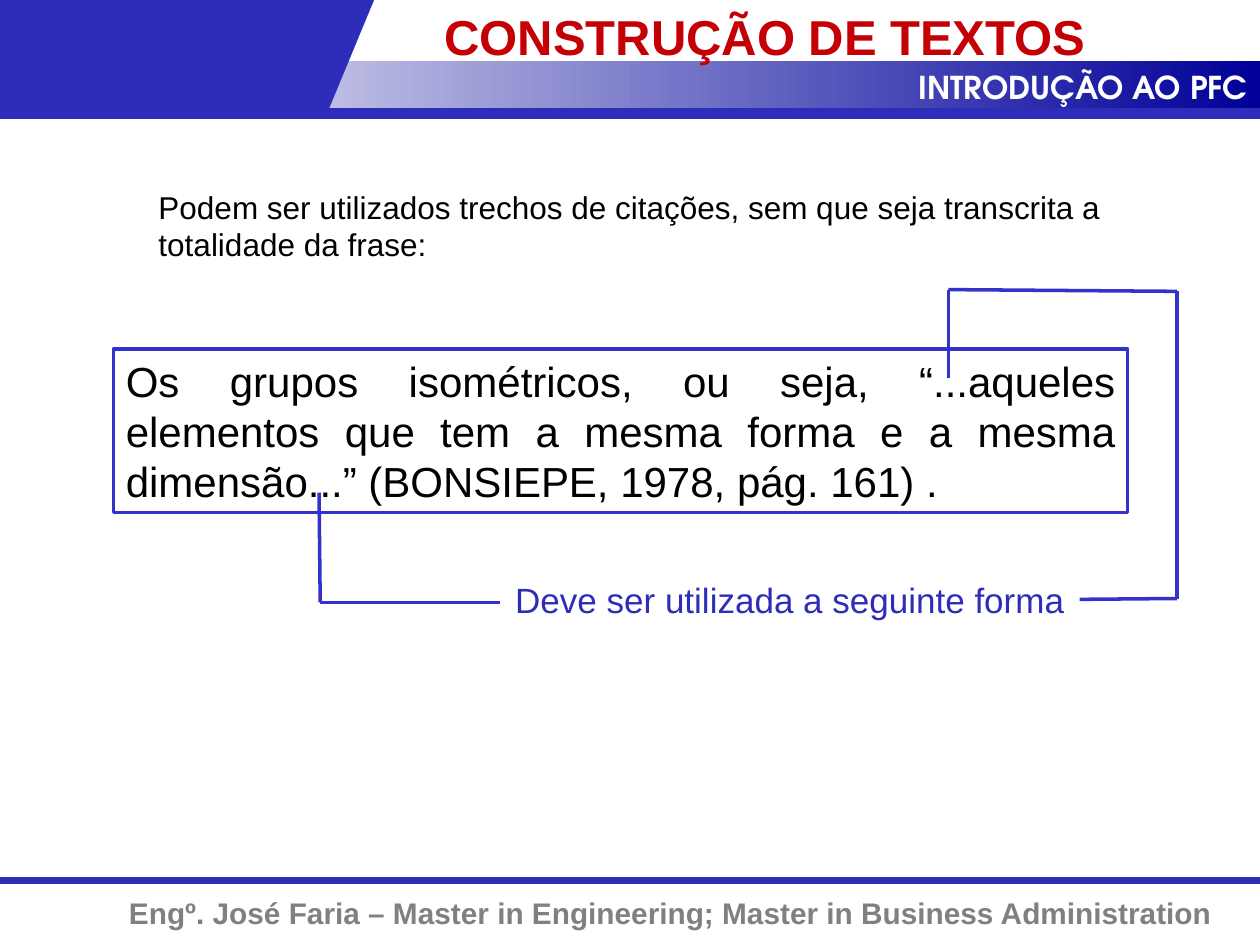
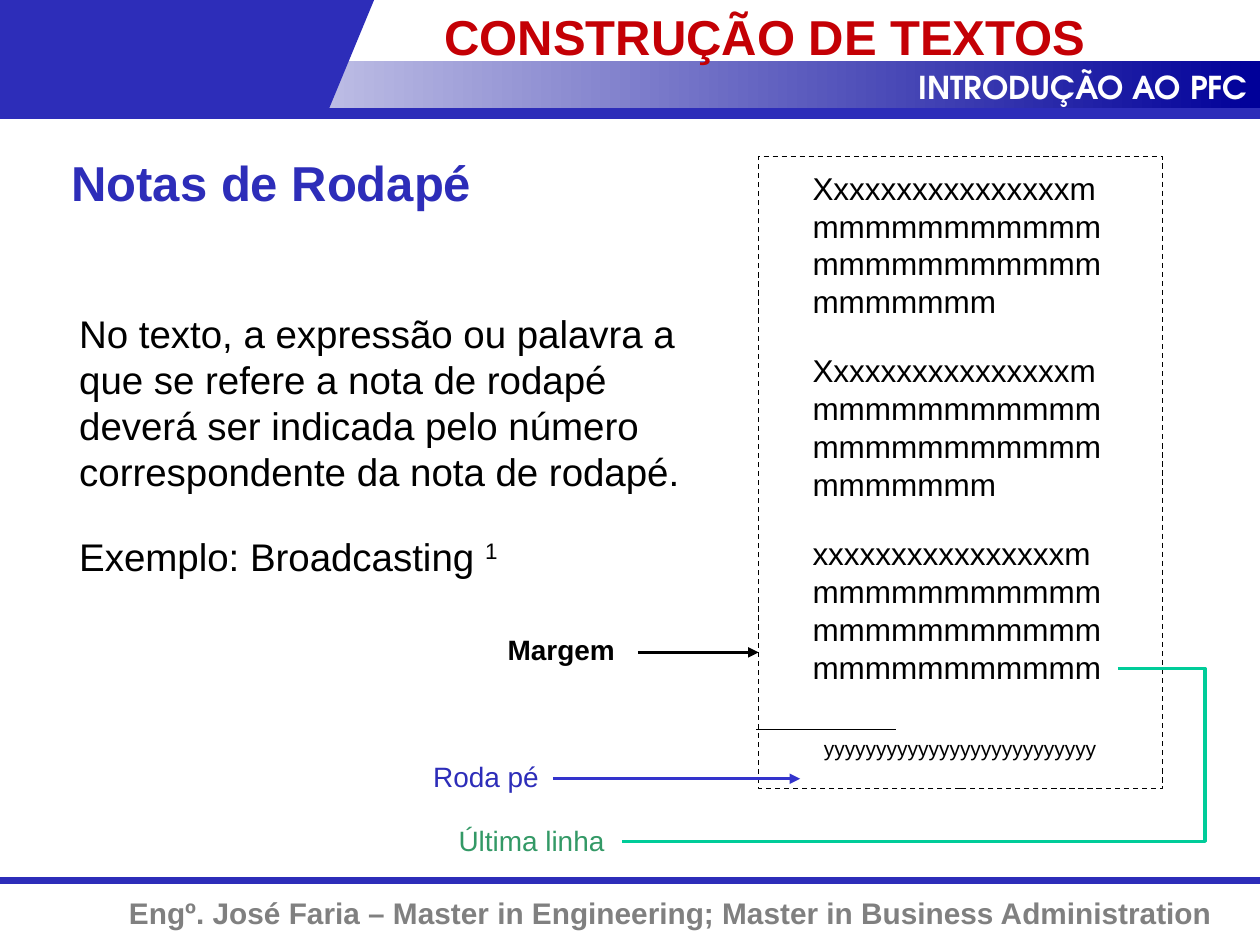
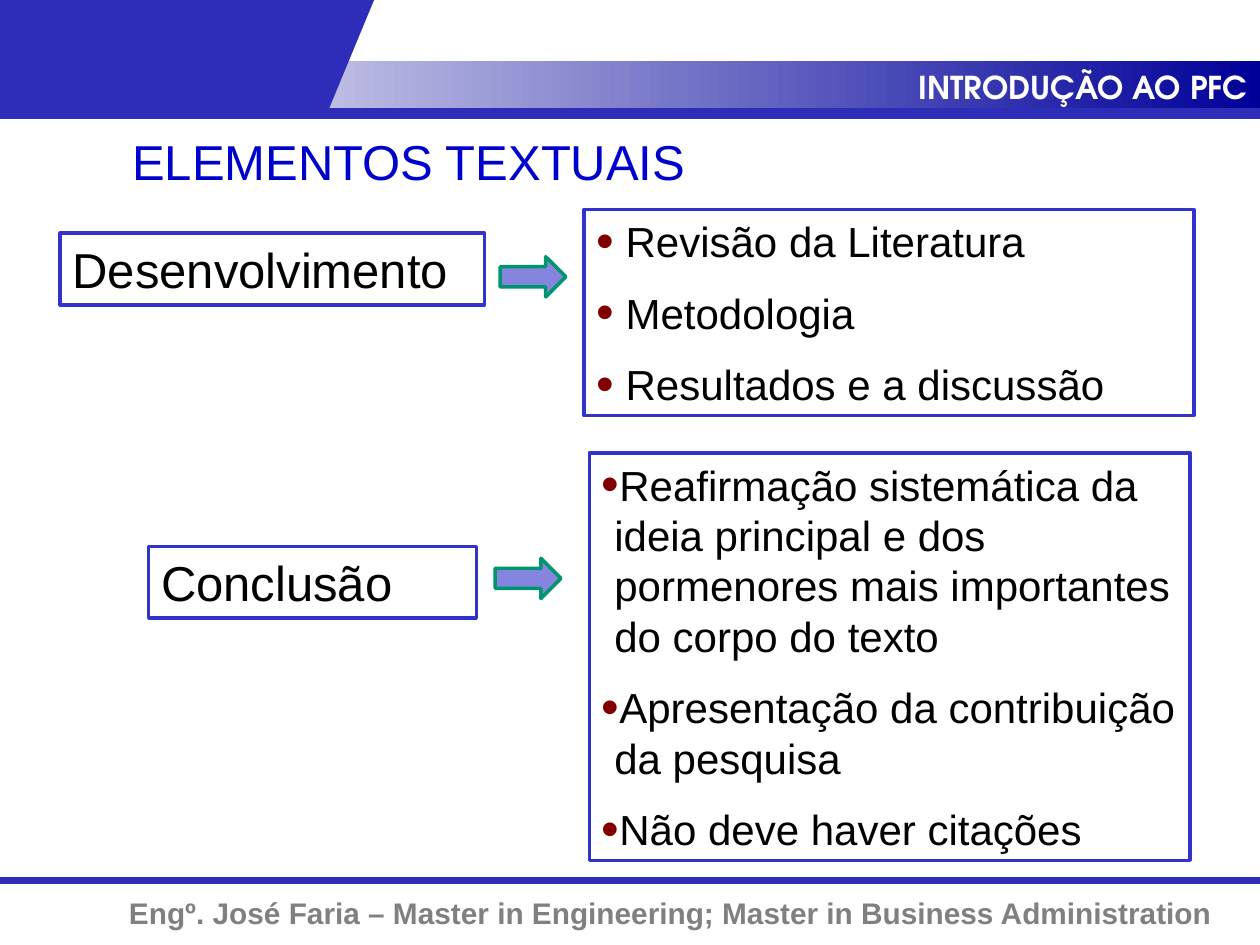
from dataclasses import dataclass
from itertools import pairwise

from lxml.etree import SubElement
from pptx import Presentation
from pptx.dml.color import RGBColor
from pptx.enum.dml import MSO_LINE
from pptx.enum.shapes import MSO_CONNECTOR, MSO_SHAPE
from pptx.enum.text import MSO_ANCHOR, MSO_AUTO_SIZE, PP_ALIGN
from pptx.oxml.ns import qn
from pptx.util import Pt


@dataclass(frozen=True)
class Theme:
    blue: str = "2D2DB9"
    outline: str = "3333CC"
    navy: str = "000099"
    title_blue: str = "0000CC"
    red: str = "C40005"
    maroon: str = "800000"
    green: str = "339966"
    teal: str = "00CC99"
    arrow_fill: str = "8585E0"
    arrow_line: str = "00956F"
    gray: str = "808080"
    black: str = "000000"
    white: str = "FFFFFF"
    font: str = "Arial"
    band_font: str = "TeX Gyre Adventor"
    title_size: int = 28
    quote_size: int = 24
    body_size: int = 22
    note_size: int = 20
    small_size: int = 18
    footer_size: int = 17
    label_size: int = 16
    tiny_size: int = 12
    line_width: float = 2


THEME = Theme()

# Content: boxes are (left, top, width, height) in points
COURSE = "INTRODUÇÃO AO PFC"
AUTHOR = "Engº. José Faria – Master in Engineering; Master in Business Administration"
WRITING_TITLE = "CONSTRUÇÃO DE TEXTOS"
ELEMENTS_TITLE = "ELEMENTOS TEXTUAIS"

INTRODUCTION = ("Podem ser utilizados trechos de citações, sem que seja transcrita a "
                "totalidade da frase:")
QUOTE = ("Os grupos isométricos, ou seja, “...aqueles elementos que tem a mesma forma "
         "e a mesma dimensão...” (BONSIEPE, 1978, pág. 161) .")
QUOTE_HINT = "Deve ser utilizada a seguinte forma"
HINT_PATHS = [
    [(542, 216), (542, 165.5), (672.5, 166.5), (672.5, 342), (617, 342.5)],
    [(182.3, 281.5), (183, 344.2), (286, 344.2)],
]

FOOTNOTE_HEADING = "Notas de Rodapé"
FOOTNOTE_TEXT = [
    "No texto, a expressão ou palavra a que se refere a nota de rodapé deverá ser "
    "indicada pelo número correspondente da nota de rodapé.",
    ("Exemplo: Broadcasting ", "1"),
]
PAGE_TEXT = [first + "x" * 15 + "m" * count
             for first, count in [("X", 30), ("X", 30), ("x", 34)]]
PAGE_NOTE = "y" * 26
PAGE_LABELS = [
    ("Roda pé", (240.5, 430.5, 91, 26.5), THEME.blue, False),
    ("Margem", (283, 358, 91, 26.5), THEME.black, True),
    ("Última linha", (255, 467.3, 116, 26.5), THEME.green, False),
]
PAGE_ARROWS = [
    ((316, 445), (457.2, 445), THEME.outline),
    ((364.5, 372.8), (433.5, 372.8), THEME.black),
]

# Each section: name, its box, arrow position, list box, list indent, items
SECTIONS = [
    ("Desenvolvimento", (34.4, 133.3, 242.6, 41), (285.8, 146.7),
     (333.8, 119.8, 348.4, 117.6), 16.6,
     ["Revisão da Literatura", "Metodologia", "Resultados e a discussão"]),
    ("Conclusão", (85, 312.3, 187.2, 41), (283, 319),
     (336.8, 258.8, 343.4, 232.8), 7.2,
     ["Reafirmação sistemática da ideia principal e dos pormenores mais importantes "
      "do corpo do texto",
      "Apresentação da contribuição da pesquisa",
      "Não deve haver citações"]),
]


# Drawing helpers
def color(value):
    return RGBColor.from_string(value)


def add_bullet(paragraph, indent):
    properties = paragraph._p.get_or_add_pPr()
    properties.set("marL", str(Pt(indent)))
    properties.set("indent", str(-Pt(indent)))
    bullet_color = SubElement(properties, qn("a:buClr"))
    SubElement(bullet_color, qn("a:srgbClr")).set("val", THEME.maroon)
    SubElement(properties, qn("a:buSzPct")).set("val", "120000")
    SubElement(properties, qn("a:buFont")).set("typeface", THEME.font)
    SubElement(properties, qn("a:buChar")).set("char", "•")


def write(shape, paragraphs, size, text_color=THEME.black, bold=False,
          font=THEME.font, align=PP_ALIGN.LEFT, gap=None, indent=None, wrap=True):
    """Fill a shape; a tuple paragraph holds normal text and a superscript."""
    frame = shape.text_frame
    frame.auto_size = MSO_AUTO_SIZE.NONE
    frame.word_wrap = wrap
    frame.vertical_anchor = MSO_ANCHOR.TOP
    for index, content in enumerate(paragraphs):
        paragraph = frame.add_paragraph() if index else frame.paragraphs[0]
        paragraph.alignment = align
        paragraph.space_before = Pt((size if gap is None else gap) if index else 0)
        if indent is not None:
            add_bullet(paragraph, indent)
        runs = (content,) if isinstance(content, str) else content
        for position, text in enumerate(runs):
            run = paragraph.add_run()
            run.text = text
            run.font.name = font
            run.font.size = Pt(size)
            run.font.bold = bold
            run.font.color.rgb = color(text_color)
            if position:
                run._r.get_or_add_rPr().set("baseline", "30000")


def add_text(slide, box, paragraphs, size, **style):
    shape = slide.shapes.add_textbox(*map(Pt, box))
    write(shape, paragraphs, size, **style)
    return shape


def add_block(slide, box, fill=None, line=None, kind=MSO_SHAPE.RECTANGLE,
              width=THEME.line_width):
    shape = slide.shapes.add_shape(kind, *map(Pt, box))
    shape.shadow.inherit = False
    if fill:
        shape.fill.solid()
        shape.fill.fore_color.rgb = color(fill)
    else:
        shape.fill.background()
    if line:
        shape.line.color.rgb = color(line)
        shape.line.width = Pt(width)
    else:
        shape.line.fill.background()
    return shape


def add_framed_text(slide, box, paragraphs, size, **style):
    shape = add_block(slide, box, THEME.white, THEME.outline)
    write(shape, paragraphs, size, **style)


def add_line(slide, start, end, line_color=THEME.outline, width=THEME.line_width,
             arrow=False, kind=MSO_CONNECTOR.STRAIGHT):
    line = slide.shapes.add_connector(kind, *map(Pt, start + end))
    line.line.color.rgb = color(line_color)
    line.line.width = Pt(width)
    if arrow:
        SubElement(line.line._get_or_add_ln(), qn("a:tailEnd")).set("type", "triangle")
    SubElement(line.element.spPr, qn("a:effectLst"))
    return line


def set_title(slide, text, box, title_color, bold, margin_left=7.2):
    title = slide.shapes.title
    title.left, title.top, title.width, title.height = map(Pt, box)
    write(title, [text], THEME.title_size, text_color=title_color, bold=bold)
    title.text_frame.margin_left = Pt(margin_left)


def set_writing_title(slide):
    set_title(slide, WRITING_TITLE, (216, 0, 504, 34.6), THEME.red, True, 38)


# Shared band and footer, moved to the slide master
def build_master(presentation, slide):
    footer_line = add_line(slide, (0, 503.3), (720, 503.3), THEME.blue, 4)
    footer = add_text(slide, (0, 507.6, 700, 28), [AUTHOR], THEME.footer_size,
                      text_color=THEME.gray, bold=True, align=PP_ALIGN.RIGHT)
    band = add_block(slide, (0, 34.6, 720, 28), THEME.white)
    band.fill.gradient()
    band.fill.gradient_angle = 0
    for stop, position, stop_color in zip(band.fill.gradient_stops, (0, 1),
                                          (THEME.white, THEME.navy)):
        stop.position = position
        stop.color.rgb = color(stop_color)
    slant = add_block(slide, (84.2, 0, 129.6, 62.6), THEME.blue,
                      kind=MSO_SHAPE.FLOWCHART_DATA)
    corner = add_block(slide, (0, 0, 114.5, 62.6), THEME.blue)
    course = add_text(slide, (314, 35.3, 406, 29), [COURSE], THEME.small_size,
                      text_color=THEME.white, bold=True, font=THEME.band_font,
                      align=PP_ALIGN.RIGHT)
    band_line = add_line(slide, (0, 64.8), (720, 64.8), THEME.blue, 6)
    tree = presentation.slide_master.shapes.element
    parts = [footer_line, footer, band, slant, corner, course, band_line]
    for index, part in enumerate(parts):
        part.element.xpath(".//p:cNvPr")[0].set("id", str(100 + index))
        tree.insert(2 + index, part.element)


# Slides
def build_quote_slide(slide):
    set_writing_title(slide)
    add_text(slide, (83.5, 103.7, 573.8, 50.4), [INTRODUCTION], THEME.small_size)
    add_framed_text(slide, (64.8, 199.4, 579.6, 93.6), [QUOTE], THEME.quote_size,
                    align=PP_ALIGN.JUSTIFY)
    add_text(slide, (287.3, 326.9, 328.3, 31.7), [QUOTE_HINT], THEME.note_size,
             text_color=THEME.blue, wrap=False)
    for points in HINT_PATHS:
        for start, end in pairwise(points):
            add_line(slide, start, end)


def build_footnote_slide(slide):
    set_writing_title(slide)
    add_text(slide, (33.8, 83.5, 242.6, 41), [FOOTNOTE_HEADING], THEME.title_size,
             text_color=THEME.blue, bold=True, wrap=False)
    add_text(slide, (38.2, 173.5, 376.6, 161.3), FOOTNOTE_TEXT, THEME.body_size)

    # Sample page
    add_text(slide, (457.2, 92.9, 181.4, 302.4), PAGE_TEXT, THEME.small_size)
    page = add_block(slide, (433.4, 89.3, 231, 361.4), line=THEME.black, width=0.75)
    page.line.dash_style = MSO_LINE.DASH
    add_line(slide, (432, 416.9), (512, 416.9), THEME.black, 0.75)
    add_text(slide, (463.7, 416.9, 172, 21.6), [PAGE_NOTE], THEME.tiny_size)

    # Labels and pointers
    for text, box, label_color, bold in PAGE_LABELS:
        add_text(slide, box, [text], THEME.label_size, text_color=label_color, bold=bold)
    for start, end, arrow_color in PAGE_ARROWS:
        add_line(slide, start, end, arrow_color, arrow=True)
    bracket = add_line(slide, (638.8, 382), (355.5, 480.8), THEME.teal,
                       kind=MSO_CONNECTOR.ELBOW)
    guides = bracket.element.spPr.find(qn("a:prstGeom")).get_or_add_avLst()
    guide = SubElement(guides, qn("a:gd"))
    guide.set("name", "adj1")
    guide.set("fmla", "val -17600")


def build_elements_slide(slide):
    set_title(slide, ELEMENTS_TITLE, (68.4, 71.3, 582.5, 41), THEME.title_blue, False)
    for name, name_box, arrow_place, list_box, indent, items in SECTIONS:
        add_framed_text(slide, list_box, items, THEME.quote_size, gap=12, indent=indent)
        add_framed_text(slide, name_box, [name], THEME.title_size)
        add_block(slide, arrow_place + (37.6, 23), THEME.arrow_fill, THEME.arrow_line,
                  kind=MSO_SHAPE.RIGHT_ARROW)


def main():
    presentation = Presentation()
    presentation.slide_width, presentation.slide_height = Pt(720), Pt(540)
    builders = [build_quote_slide, build_footnote_slide, build_elements_slide]
    for index, build in enumerate(builders):
        slide = presentation.slides.add_slide(presentation.slide_layouts[5])
        if index == 0:
            build_master(presentation, slide)
        build(slide)
    presentation.save("out.pptx")


if __name__ == "__main__":
    main()
